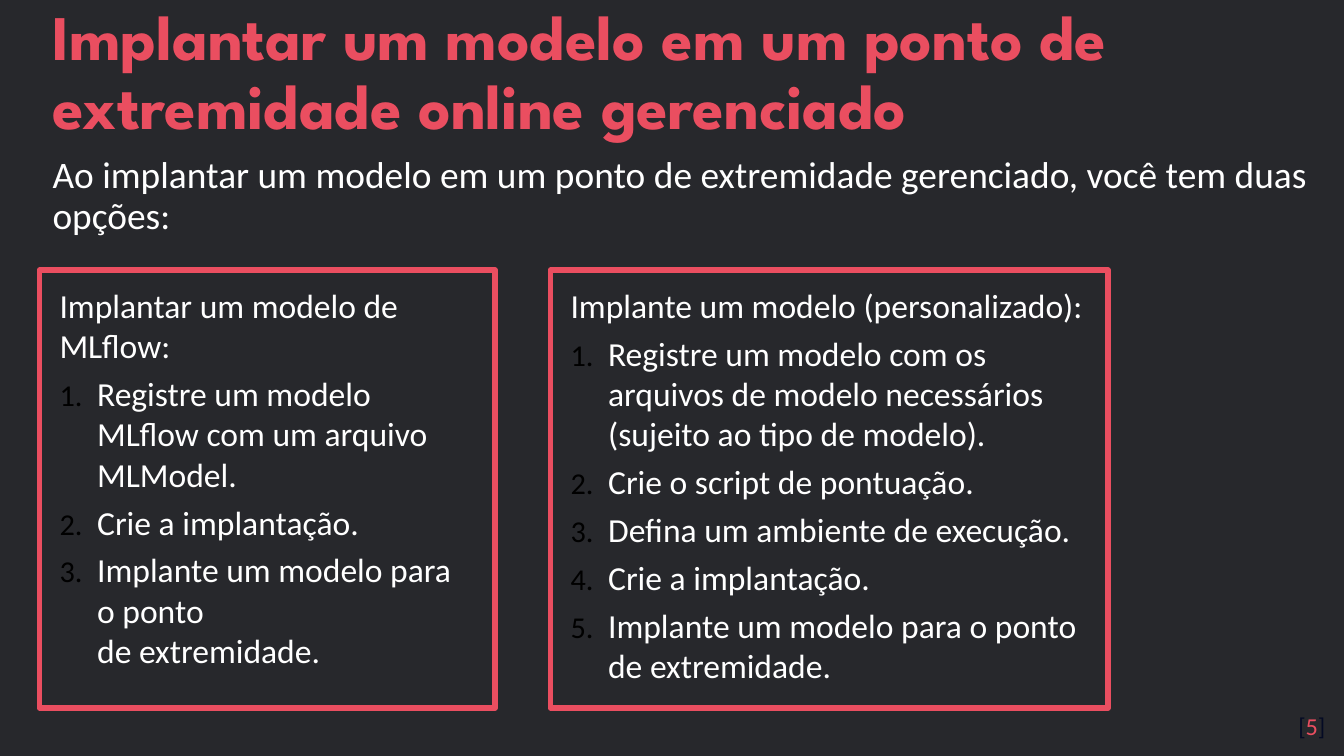
from dataclasses import dataclass

from lxml import etree
from pptx import Presentation
from pptx import util as u
from pptx.dml.color import RGBColor
from pptx.enum import shapes, text
from pptx.oxml import ns


@dataclass(frozen=True)
class Theme:
    background: str = "27282C"
    accent: str = "EA4E60"
    light: str = "FFFFFF"
    number: str = "000000"
    bracket: str = "040A24"
    heading_font: str = "League Spartan"
    body_font: str = "Calibri"
    title_size: int = 34
    intro_size: int = 20
    list_size: int = 18
    page_size: int = 13


theme = Theme()
presentation = Presentation()
presentation.slide_width = u.Inches(10)
presentation.slide_height = presentation.slide_width * 9 // 16
column = presentation.slide_width / 100
row = presentation.slide_height / 100
left_margin = 2.93

slide = presentation.slides.add_slide(presentation.slide_layouts[6])
slide.background.fill.solid()
slide.background.fill.fore_color.rgb = RGBColor.from_string(theme.background)


def grid(left, top, width, height):
    """Turn hundredths of the slide's width and height into lengths."""
    return [round(n) for n in (left * column, top * row, width * column, height * row)]


def format_runs(paragraph, size, color, font=theme.body_font, bold=False):
    for run in paragraph.runs:
        run.font.size = u.Pt(size)
        run.font.name = font
        run.font.bold = bold
        run.font.color.rgb = RGBColor.from_string(color)


# Title and introduction
headings = [
    ("Implantar um modelo em um ponto de extremidade online gerenciado",
     grid(left_margin, 2.5, 90.3, 14.75), text.MSO_ANCHOR.MIDDLE,
     (theme.title_size, theme.accent, theme.heading_font, True)),
    ("Ao implantar um modelo em um ponto de extremidade gerenciado, você tem duas opções:",
     grid(left_margin, 19.85, 97.07, 14.75), text.MSO_ANCHOR.TOP,
     (theme.intro_size, theme.light)),
]
for wording, place, anchor, style in headings:
    frame = slide.shapes.add_textbox(*place).text_frame
    frame.word_wrap = True
    frame.vertical_anchor = anchor
    paragraph = frame.paragraphs[0]
    paragraph.text = wording
    paragraph.line_spacing = 0.9
    format_runs(paragraph, *style)

# One framed, numbered list for each option
last_step = "Implante um modelo para o ponto \nde extremidade."
options = [
    (left_margin, 33.9, "Implantar um modelo de MLflow:", [
        "Registre um modelo MLflow com um arquivo MLModel.",
        "Crie a implantação.",
        last_step,
    ]),
    (40.95, 41.5, "Implante um modelo (personalizado):", [
        "Registre um modelo com os arquivos de modelo necessários (sujeito ao tipo de modelo).",
        "Crie o script de pontuação.",
        "Defina um ambiente de execução.",
        "Crie a implantação.",
        last_step,
    ]),
]
for left, width, heading, steps in options:
    box = slide.shapes.add_shape(shapes.MSO_SHAPE.RECTANGLE, *grid(left, 35.75, width, 57.9))
    box.shadow.inherit = False
    box.fill.background()
    box.line.color.rgb = RGBColor.from_string(theme.accent)
    box.line.width = u.Pt(3)
    etree.SubElement(box.line._get_or_add_ln(), ns.qn("a:round"))

    frame = box.text_frame
    frame.word_wrap = True
    frame.vertical_anchor = text.MSO_ANCHOR.TOP
    frame.margin_left = frame.margin_right = u.Inches(0.15)
    frame.margin_top, frame.margin_bottom = u.Inches(0.11), u.Inches(0.04)

    for index, wording in enumerate([heading] + steps):
        paragraph = frame.add_paragraph() if index else frame.paragraphs[0]
        paragraph.text = wording
        paragraph.alignment = text.PP_ALIGN.LEFT
        paragraph.space_after = u.Pt(4)
        format_runs(paragraph, theme.list_size, theme.light)
        if index:
            properties = paragraph._p.get_or_add_pPr()
            properties.set("marL", str(u.Inches(0.28)))
            properties.set("indent", str(-u.Inches(0.28)))
            number_color = etree.SubElement(properties, ns.qn("a:buClr"))
            etree.SubElement(number_color, ns.qn("a:srgbClr"), val=theme.number)
            etree.SubElement(properties, ns.qn("a:buSzPct"), val="90000")
            etree.SubElement(properties, ns.qn("a:buFont"), typeface=theme.body_font)
            etree.SubElement(properties, ns.qn("a:buAutoNum"), type="arabicPeriod")

# Page number
frame = slide.shapes.add_textbox(*grid(93, 92.35, 6.6, 7.65)).text_frame
frame.word_wrap = True
frame.margin_top = frame.margin_bottom = u.Inches(0.1)
paragraph = frame.paragraphs[0]
paragraph.alignment = text.PP_ALIGN.RIGHT
for character in "[5]":
    paragraph.add_run().text = character
format_runs(paragraph, theme.page_size, theme.bracket)
paragraph.runs[1].font.color.rgb = RGBColor.from_string(theme.accent)

presentation.save("out.pptx")
